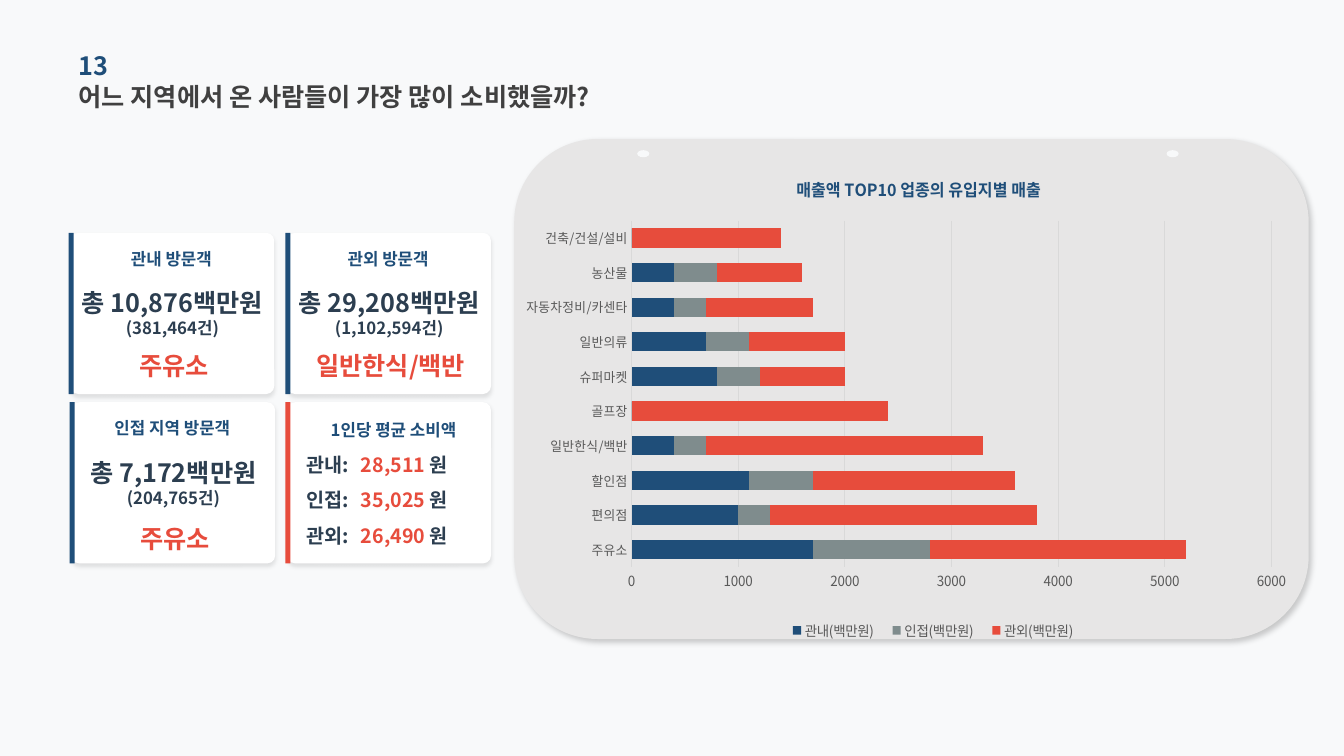
import pptx
import pptx.chart.data
import pptx.dml.color
import pptx.enum.chart
import pptx.enum.shapes
import pptx.enum.text
import pptx.oxml
import pptx.oxml.ns
import pptx.util

Inches = pptx.util.Inches
Pt = pptx.util.Pt
RGBColor = pptx.dml.color.RGBColor
Shape = pptx.enum.shapes.MSO_SHAPE
Align = pptx.enum.text.PP_ALIGN
qn = pptx.oxml.ns.qn

FONT = "Noto Sans CJK KR"
PAPER = RGBColor(0xF8, 0xF9, 0xFA)
PANEL = RGBColor(0xE7, 0xE6, 0xE6)
WHITE = RGBColor(0xFF, 0xFF, 0xFF)
NAVY = RGBColor(0x1F, 0x4E, 0x79)
RED = RGBColor(0xE7, 0x4C, 0x3C)
SLATE = RGBColor(0x2C, 0x3E, 0x50)
GRAY = RGBColor(0x7F, 0x8C, 0x8D)
CHARCOAL = RGBColor(0x40, 0x40, 0x40)
AXIS_TEXT = RGBColor(0x59, 0x59, 0x59)
GRID = RGBColor(0xD9, 0xD9, 0xD9)

CARDS = [
    (0.68, 2.31, "관내 방문객", "총 10,876백만원", "(381,464건)", "주유소", 3.39),
    (2.83, 2.31, "관외 방문객", "총 29,208백만원", "(1,102,594건)", "일반한식/백반", 3.39),
    (0.69, 3.99, "인접 지역 방문객", "총 7,172백만원", "(204,765건)", "주유소", 5.11),
]
AVERAGES = [("관내:", "28,511 "), ("인접:", "35,025 "), ("관외:", "26,490 ")]
SALES = [
    ("주유소", 1700, 1100, 2400),
    ("편의점", 1000, 300, 2500),
    ("할인점", 1100, 600, 1900),
    ("일반한식/백반", 400, 300, 2600),
    ("골프장", 0, 0, 2400),
    ("슈퍼마켓", 800, 400, 800),
    ("일반의류", 700, 400, 900),
    ("자동차정비/카센타", 400, 300, 1000),
    ("농산물", 400, 400, 800),
    ("건축/건설/설비", 0, 0, 1400),
]
ORIGINS = [("관내(백만원)", NAVY), ("인접(백만원)", GRAY), ("관외(백만원)", RED)]


def format_font(font, size, color, bold=False):
    font.size = Pt(size)
    font.bold = bold
    font.color.rgb = color
    font.name = FONT
    font._element.set("kern", "0")
    latin = font._element.find(qn("a:latin"))
    east_asian = pptx.oxml.parse_xml(
        f'<a:ea {pptx.oxml.ns.nsdecls("a")} typeface="{FONT}"/>')
    latin.addnext(east_asian)


def write_text(box, text, size=12, color=NAVY, bold=True, align=Align.LEFT, more=()):
    frame = box.text_frame
    frame.word_wrap = True
    frame.auto_size = pptx.enum.text.MSO_AUTO_SIZE.NONE
    frame.vertical_anchor = pptx.enum.text.MSO_ANCHOR.MIDDLE
    frame.margin_left = frame.margin_right = frame.margin_top = frame.margin_bottom = 0
    para = frame.paragraphs[0]
    para.alignment = align
    for words, span_size, span_color in [(text, size, color), *more]:
        if words.startswith("\n"):
            para.add_line_break()
        span = para.add_run()
        span.text = words.lstrip("\n")
        format_font(span.font, span_size, span_color, bold)


def add_text(slide, left, top, width, height, text, **text_format):
    box = slide.shapes.add_textbox(
        Inches(left), Inches(top), Inches(width), Inches(height))
    write_text(box, text, **text_format)


def add_block(slide, kind, left, top, width, height, color, corner=None, shadow=None):
    block = slide.shapes.add_shape(
        kind, Inches(left), Inches(top), Inches(width), Inches(height))
    block.fill.solid()
    block.fill.fore_color.rgb = color
    block.line.fill.background()
    block.shadow.inherit = False
    if corner is not None:
        block.adjustments[0] = corner
    if shadow:
        opacity, blur, distance, angle = shadow
        effects = block._element.spPr.find(qn("a:effectLst"))
        effects.append(pptx.oxml.parse_xml(
            f'<a:outerShdw {pptx.oxml.ns.nsdecls("a")} blurRad="{Pt(blur)}" '
            f'dist="{Pt(distance)}" dir="{angle * 60000}" algn="tl" rotWithShape="0">'
            f'<a:srgbClr val="000000"><a:alpha val="{opacity * 1000}"/></a:srgbClr>'
            '</a:outerShdw>'))


def add_card(slide, left, top, accent):
    add_block(slide, Shape.ROUNDED_RECTANGLE, left + 0.02, top, 2.02, 1.6, WHITE,
              corner=0.05, shadow=(10, 3, 2, 90))
    add_block(slide, Shape.RECTANGLE, left, top, 0.05, 1.6, accent)


def add_visitor_card(slide, left, top, heading, total, count, leader, leader_top):
    add_card(slide, left, top, NAVY)
    add_text(slide, left + 0.32, top + 0.1, 1.4, 0.31, heading, align=Align.CENTER)
    add_text(slide, left + 0.03, top + 0.56, 2, 0.47, total, size=18, color=SLATE,
             align=Align.CENTER, more=[("\n" + count, 12, SLATE)])
    add_text(slide, left + 0.05, leader_top, 1.99, 0.47, leader, size=18, color=RED,
             align=Align.CENTER)


def add_average_card(slide, left, top):
    add_card(slide, left, top, RED)
    add_text(slide, left + 0.45, top + 0.15, 1.4, 0.25, "1인당 평균 소비액")
    for row, (origin, amount) in enumerate(AVERAGES):
        row_top = top + 0.47 + 0.35 * row
        add_text(slide, left + 0.21, row_top, 0.59, 0.3, origin, size=14, color=SLATE)
        add_text(slide, left + 0.75, row_top, 1.25, 0.3, amount, size=14, color=RED,
                 more=[("원", 14, SLATE)])


def place_part(part, left, top, width=None, height=None, inner=False):
    for old in part.findall(qn("c:layout")):
        part.remove(old)
    settings = [("layoutTarget", "inner")] if inner else []
    settings += [("xMode", "edge"), ("yMode", "edge"), ("x", left), ("y", top)]
    if width:
        settings += [("w", width), ("h", height)]
    marks = "".join(f'<c:{name} val="{value}"/>' for name, value in settings)
    layout = pptx.oxml.parse_xml(
        f'<c:layout {pptx.oxml.ns.nsdecls("c")}><c:manualLayout>{marks}'
        '</c:manualLayout></c:layout>')
    before = part.find(qn("c:tx"))
    if before is None:
        before = part.find(qn("c:legendPos"))
    if before is None:
        part.insert(0, layout)
    else:
        before.addnext(layout)


def format_axis(axis, size):
    no_tick = pptx.enum.chart.XL_TICK_MARK.NONE
    axis.major_tick_mark = no_tick
    axis.minor_tick_mark = no_tick
    format_font(axis.tick_labels.font, size, AXIS_TEXT)


def add_sales_chart(slide):
    data = pptx.chart.data.CategoryChartData()
    names, *columns = zip(*SALES)
    data.categories = names
    for (origin, _), values in zip(ORIGINS, columns):
        data.add_series(origin, values)
    chart = slide.shapes.add_chart(
        pptx.enum.chart.XL_CHART_TYPE.BAR_STACKED,
        Inches(5.22), Inches(1.56), Inches(7.61), Inches(4.84), data).chart
    chart.font.name = "Calibri"
    chart.font.size = Pt(10)

    plot = chart.plots[0]
    plot.gap_width = 80
    plot.overlap = 100
    plot.vary_by_categories = False
    for series, (_, color) in zip(plot.series, ORIGINS):
        series.format.fill.solid()
        series.format.fill.fore_color.rgb = color

    format_axis(chart.category_axis, 9.5)
    chart.category_axis.format.line.color.rgb = GRID
    chart.category_axis.format.line.width = Pt(0.75)
    amounts = chart.value_axis
    format_axis(amounts, 10)
    amounts.minimum_scale = 0
    amounts.maximum_scale = 6000
    amounts.major_unit = 1000
    amounts.format.line.fill.background()
    amounts.major_gridlines.format.line.color.rgb = GRID
    amounts.major_gridlines.format.line.width = Pt(0.75)

    chart.has_title = True
    chart.chart_title.include_in_layout = False
    span = chart.chart_title.text_frame.paragraphs[0].add_run()
    span.text = "매출액 TOP10 업종의 유입지별 매출"
    format_font(span.font, 12, NAVY, True)
    chart.has_legend = True
    chart.legend.position = pptx.enum.chart.XL_LEGEND_POSITION.BOTTOM
    chart.legend.include_in_layout = False
    format_font(chart.legend.font, 10, AXIS_TEXT)

    place_part(chart.chart_title._element, 0.32, 0.03)
    place_part(chart.legend._element, 0.3, 0.94, 0.42, 0.06)
    plot_area = chart._chartSpace.chart.plotArea
    place_part(plot_area, 0.1, 0.13, 0.87, 0.71, inner=True)


def main():
    deck = pptx.Presentation()
    deck.slide_width = Inches(13.33)
    deck.slide_height = Inches(7.5)
    page = deck.slides.add_slide(deck.slide_layouts[5])
    page.background.fill.solid()
    page.background.fill.fore_color.rgb = PAPER

    title = page.shapes.title
    title.left, title.top = Inches(0.78), Inches(0.75)
    title.width, title.height = Inches(5.35), Inches(0.41)
    write_text(title, "어느 지역에서 온 사람들이 가장 많이 소비했을까?",
               size=18, color=CHARCOAL)
    add_text(page, 0.78, 0.44, 4.52, 0.41, "13", size=18)

    add_block(page, Shape.ROUNDED_RECTANGLE, 5.1, 1.38, 7.88, 4.96, PANEL,
              shadow=(20, 4, 3, 45))
    for hole_left in (6.32, 11.57):
        add_block(page, Shape.OVAL, hole_left, 1.49, 0.12, 0.07, PAPER)
    for card in CARDS:
        add_visitor_card(page, *card)
    add_average_card(page, 2.83, 3.99)
    add_sales_chart(page)
    deck.save("out.pptx")


if __name__ == "__main__":
    main()
